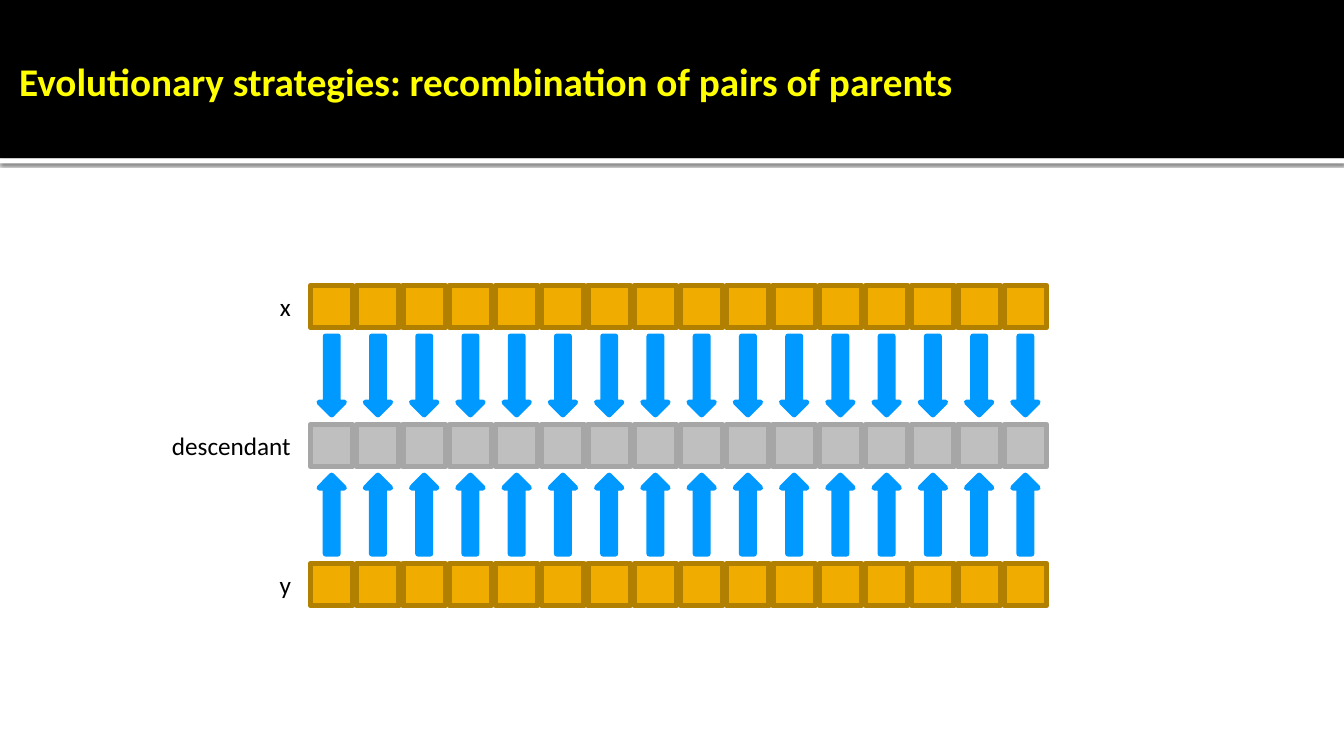
from lxml.etree import SubElement
from pptx import Presentation
from pptx.dml.color import RGBColor
from pptx.enum.shapes import MSO_SHAPE
from pptx.enum.text import MSO_ANCHOR, PP_ALIGN
from pptx.oxml.ns import qn
from pptx.util import Inches, Pt

BLACK = RGBColor(0x00, 0x00, 0x00)
WHITE = RGBColor(0xFF, 0xFF, 0xFF)
YELLOW = RGBColor(0xFF, 0xFF, 0x00)
AMBER = RGBColor(0xF0, 0xAD, 0x00)
DARK_AMBER = RGBColor(0xB2, 0x80, 0x00)
GRAY = RGBColor(0xBF, 0xBF, 0xBF)
DARK_GRAY = RGBColor(0xA6, 0xA6, 0xA6)
BLUE = RGBColor(0x00, 0x99, 0xFF)

GENES = 16
GENE_SIZE = 0.42
FIRST_GENE, LAST_GENE = 3.08, 9.96
STEP = (LAST_GENE - FIRST_GENE) / (GENES - 1)
ARROW_LENGTH, ARROW_WIDTH = 0.78, 0.25

prs = Presentation()
prs.slide_width = Inches(13.33)
prs.slide_height = Inches(7.5)
slide = prs.slides.add_slide(prs.slide_layouts[6])


def add_block(kind, left, top, width, height, fill, outline=None):
    block = slide.shapes.add_shape(
        kind, Inches(left), Inches(top), Inches(width), Inches(height))
    block.shadow.inherit = False
    block.fill.solid()
    block.fill.fore_color.rgb = fill
    if outline is None:
        block.line.fill.background()
    else:
        block.line.color.rgb = outline
        block.line.width = Pt(3.78)
    return block


def add_text(text, left, top, width, height, size, color, align):
    box = slide.shapes.add_textbox(
        Inches(left), Inches(top), Inches(width), Inches(height))
    frame = box.text_frame
    frame.word_wrap = True
    frame.vertical_anchor = MSO_ANCHOR.MIDDLE
    paragraph = frame.paragraphs[0]
    paragraph.text = text
    paragraph.alignment = align
    paragraph.font.name = "Calibri"
    paragraph.font.size = Pt(size)
    paragraph.font.color.rgb = color
    return frame


header_edge = add_block(MSO_SHAPE.RECTANGLE, 0, 1.57, 13.33, 0.05, WHITE)
effects = header_edge.element.spPr.find(qn("a:effectLst"))
edge_shadow = SubElement(effects, qn("a:outerShdw"), blurRad=str(Pt(2.5)),
                         dist=str(Pt(0.8)), dir="5400000", algn="t", rotWithShape="0")
shadow_color = SubElement(edge_shadow, qn("a:srgbClr"), val=str(BLACK))
SubElement(shadow_color, qn("a:alpha"), val="60000")
add_block(MSO_SHAPE.RECTANGLE, 0, 0, 13.33, 1.57, BLACK)

title = add_text("Evolutionary strategies: recombination of pairs of parents",
                 0, 0, 11.75, 1.55, 28, YELLOW, PP_ALIGN.LEFT)
title.margin_left = Inches(0.19)
title.margin_top = Inches(0.1)
title.paragraphs[0].font.bold = True

for label, label_left, label_width, top, fill, outline in (
    ("x", 2.62, 0.42, 2.83, AMBER, DARK_AMBER),
    ("y", 2.62, 0.42, 5.59, AMBER, DARK_AMBER),
    ("descendant", 1.56, 1.47, 4.21, GRAY, DARK_GRAY),
):
    for gene in range(GENES):
        add_block(MSO_SHAPE.RECTANGLE, FIRST_GENE + gene * STEP, top,
                  GENE_SIZE, GENE_SIZE, fill, outline)
    add_text(label, label_left, top, label_width, GENE_SIZE, 18, BLACK, PP_ALIGN.CENTER)

for gene in range(GENES):
    arrow_left = FIRST_GENE + gene * STEP + (GENE_SIZE - ARROW_LENGTH) / 2
    for top, rotation in ((3.6, 90), (4.98, 270)):
        arrow = add_block(MSO_SHAPE.RIGHT_ARROW, arrow_left, top,
                          ARROW_LENGTH, ARROW_WIDTH, BLUE, BLUE)
        arrow.rotation = rotation

prs.save("out.pptx")
